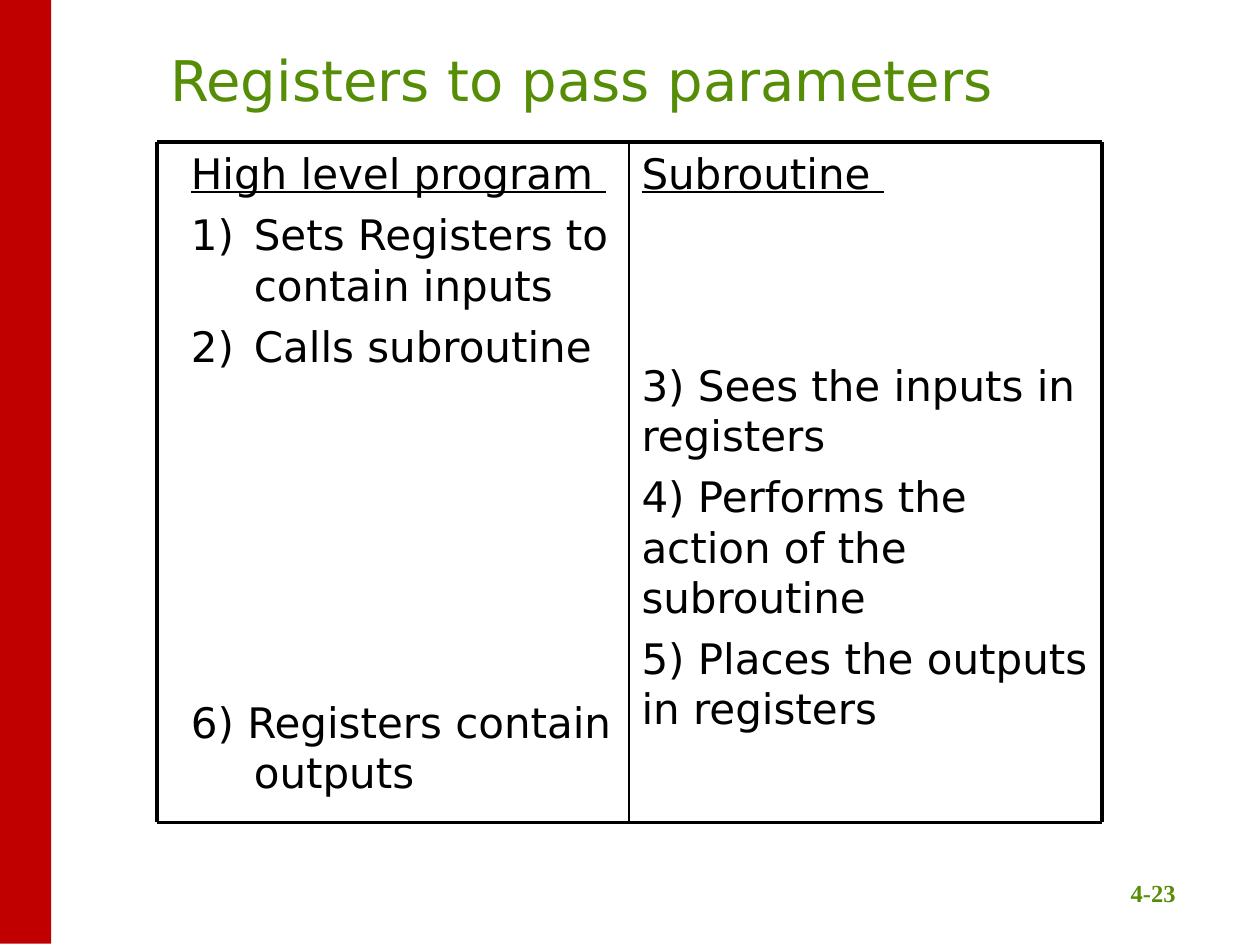
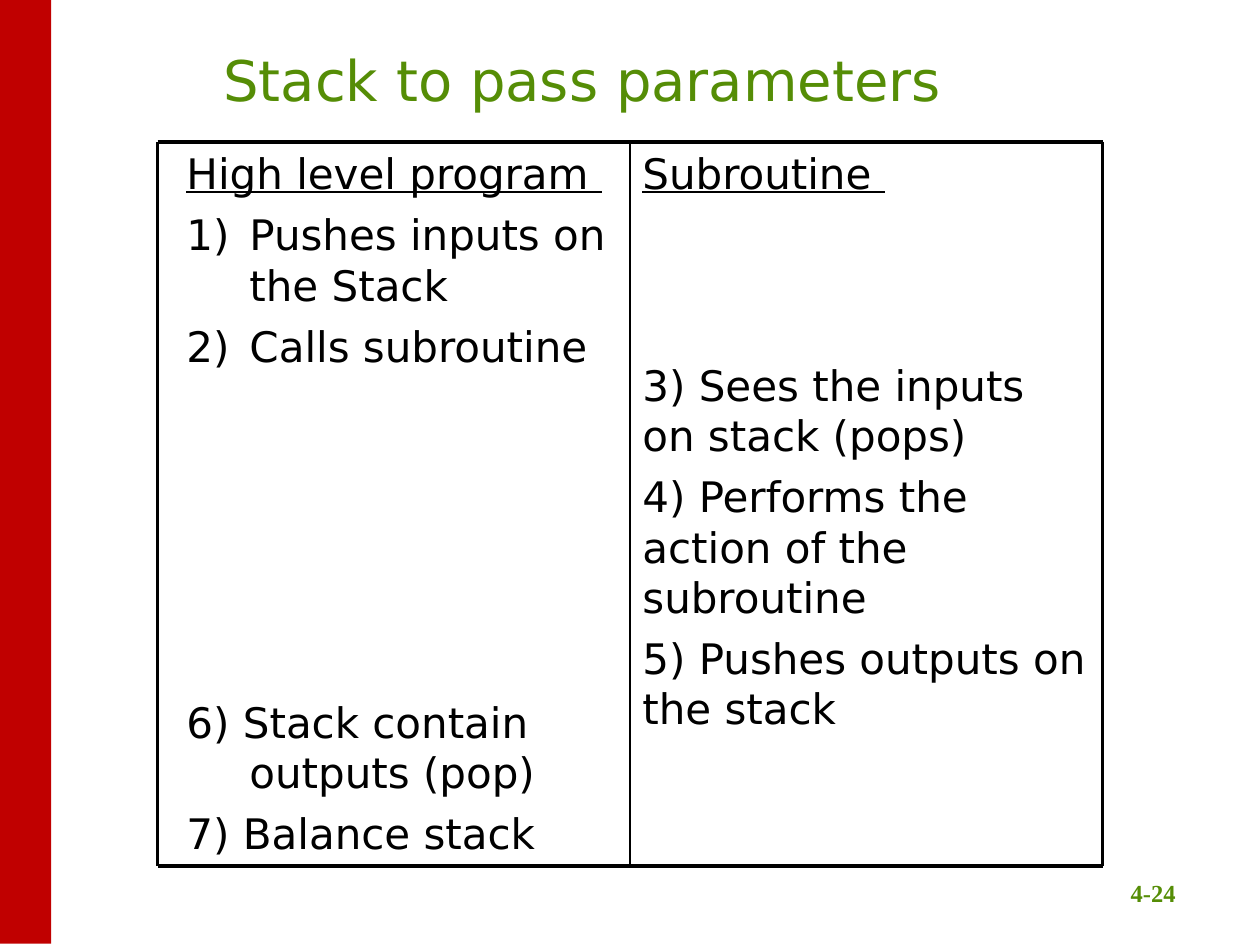
from dataclasses import dataclass

from lxml.etree import SubElement
from pptx import Presentation
from pptx.dml.color import RGBColor
from pptx.enum.shapes import MSO_CONNECTOR, MSO_SHAPE
from pptx.enum.text import MSO_ANCHOR, PP_ALIGN
from pptx.oxml.ns import qn
from pptx.util import Pt


@dataclass(frozen=True)
class Theme:
    band: RGBColor = RGBColor(0xC0, 0x00, 0x00)
    accent: RGBColor = RGBColor(0x55, 0x8D, 0x06)
    ink: RGBColor = RGBColor(0x00, 0x00, 0x00)
    body_font: str = "DejaVu Sans"
    number_font: str = "Times New Roman"
    title_size: int = 32
    body_size: int = 24
    number_size: int = 14
    border: float = 2.25
    divider: float = 1


@dataclass(frozen=True)
class Step:
    text: str
    space_before: float = 6
    heading: bool = False
    numbered: bool = False


THEME = Theme()
FRAME_TOP = 81
FRAME_WIDTH = 540
HANGING_INDENT = 36
SUBROUTINE_GAP = 92  # the subroutine starts after the call on the left
RETURN_GAP = 186  # the caller resumes after the subroutine on the right


def style_font(paragraph, name, size, color, bold=False, underline=False):
    font = paragraph.font
    font.name, font.size, font.bold = name, Pt(size), bold
    font.underline = underline
    font.color.rgb = color


def add_text_frame(shapes, left, top, width, height, anchor):
    box = shapes.add_textbox(Pt(left), Pt(top), Pt(width), Pt(height))
    text_frame = box.text_frame
    text_frame.word_wrap = True
    text_frame.vertical_anchor = anchor
    return text_frame


def add_band(slide):
    band = slide.shapes.add_shape(
        MSO_SHAPE.RECTANGLE, Pt(-0.75), Pt(-0.75), Pt(30), Pt(540))
    band.shadow.inherit = False
    band.fill.solid()
    band.fill.fore_color.rgb = THEME.band
    band.line.fill.background()


def add_centred_line(slide, text, box, anchor, *font, bold=False):
    paragraph = add_text_frame(slide.shapes, *box, anchor).paragraphs[0]
    paragraph.text = text
    paragraph.alignment = PP_ALIGN.CENTER
    style_font(paragraph, *font, THEME.accent, bold)


def add_rule(shapes, start, end, weight):
    rule = shapes.add_connector(
        MSO_CONNECTOR.STRAIGHT, *(Pt(value) for value in (*start, *end)))
    rule.line.color.rgb = THEME.ink
    rule.line.width = Pt(weight)
    SubElement(rule._element.spPr, qn("a:effectLst"))


def set_hanging_indent(paragraph, numbered):
    properties = paragraph._p.get_or_add_pPr()
    properties.set("marL", str(Pt(HANGING_INDENT)))
    properties.set("indent", str(-Pt(HANGING_INDENT)))
    if numbered:
        SubElement(properties, qn("a:buFont"), typeface="+mj-lt")
        SubElement(properties, qn("a:buAutoNum"), type="arabicParenR")


def add_column(shapes, box, steps, hanging=False):
    text_frame = add_text_frame(shapes, *box, MSO_ANCHOR.TOP)
    for index, step in enumerate(steps):
        paragraph = text_frame.add_paragraph() if index else text_frame.paragraphs[0]
        paragraph.text = step.text
        paragraph.space_before = Pt(step.space_before)
        if hanging:
            set_hanging_indent(paragraph, step.numbered)
        style_font(paragraph, THEME.body_font, THEME.body_size, THEME.ink,
                   underline=step.heading)


def add_comparison(slide, left, height, caller_left, caller_steps, subroutine_steps):
    """Draw the framed pair of columns: caller and subroutine."""
    shapes = slide.shapes.add_group_shape().shapes
    middle, right = left + FRAME_WIDTH / 2, left + FRAME_WIDTH
    bottom = FRAME_TOP + height
    add_column(shapes, (middle, FRAME_TOP, right - middle, height),
               [Step("Subroutine ", 0, heading=True), *subroutine_steps])
    add_column(shapes, (caller_left, FRAME_TOP, middle - caller_left, height),
               [Step("High level program ", 0, heading=True), *caller_steps],
               hanging=True)
    for y in (FRAME_TOP, bottom):
        add_rule(shapes, (left, y), (right, y), THEME.border)
    for x, weight in ((left, THEME.border), (middle, THEME.divider),
                      (right, THEME.border)):
        add_rule(shapes, (x, FRAME_TOP), (x, bottom), weight)


def add_base_slide(presentation, title, title_left, number):
    slide = presentation.slides.add_slide(presentation.slide_layouts[6])
    add_centred_line(slide, number, (617, 489, 84, 33), MSO_ANCHOR.BOTTOM,
                     THEME.number_font, THEME.number_size, bold=True)
    add_band(slide)
    add_centred_line(slide, title, (title_left, 18, 606, 54), MSO_ANCHOR.MIDDLE,
                     THEME.body_font, THEME.title_size)
    return slide


def main():
    presentation = Presentation()
    presentation.slide_width, presentation.slide_height = Pt(720), Pt(540)
    call = Step("Calls subroutine", numbered=True)
    action = Step("4) Performs the action of the subroutine")

    slide = add_base_slide(presentation, "Registers to pass parameters", 29.5, "4-23")
    add_comparison(
        slide, 89.5, 389, 102,
        [Step("Sets Registers to contain inputs", numbered=True), call,
         Step("6) Registers contain outputs", RETURN_GAP)],
        [Step("3) Sees the inputs in registers", SUBROUTINE_GAP), action,
         Step("5) Places the outputs in registers")])

    slide = add_base_slide(presentation, "Stack to pass parameters", 30, "4-24")
    add_comparison(
        slide, 90, 414, 99.5,
        [Step("Pushes inputs on the Stack", numbered=True), call,
         Step("6) Stack contain outputs (pop)", RETURN_GAP),
         Step("7) Balance stack")],
        [Step("3) Sees the inputs on stack (pops)", SUBROUTINE_GAP), action,
         Step("5) Pushes outputs on the stack")])

    presentation.save("out.pptx")


if __name__ == "__main__":
    main()
